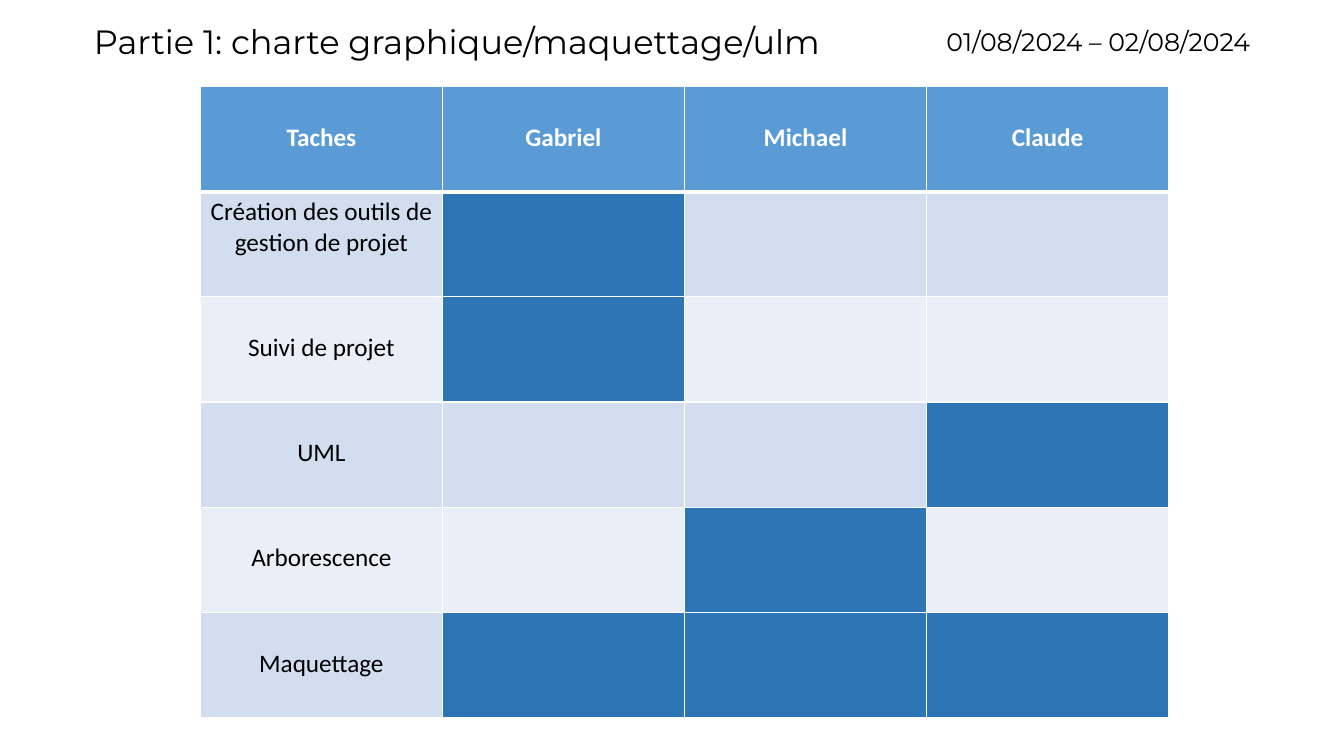
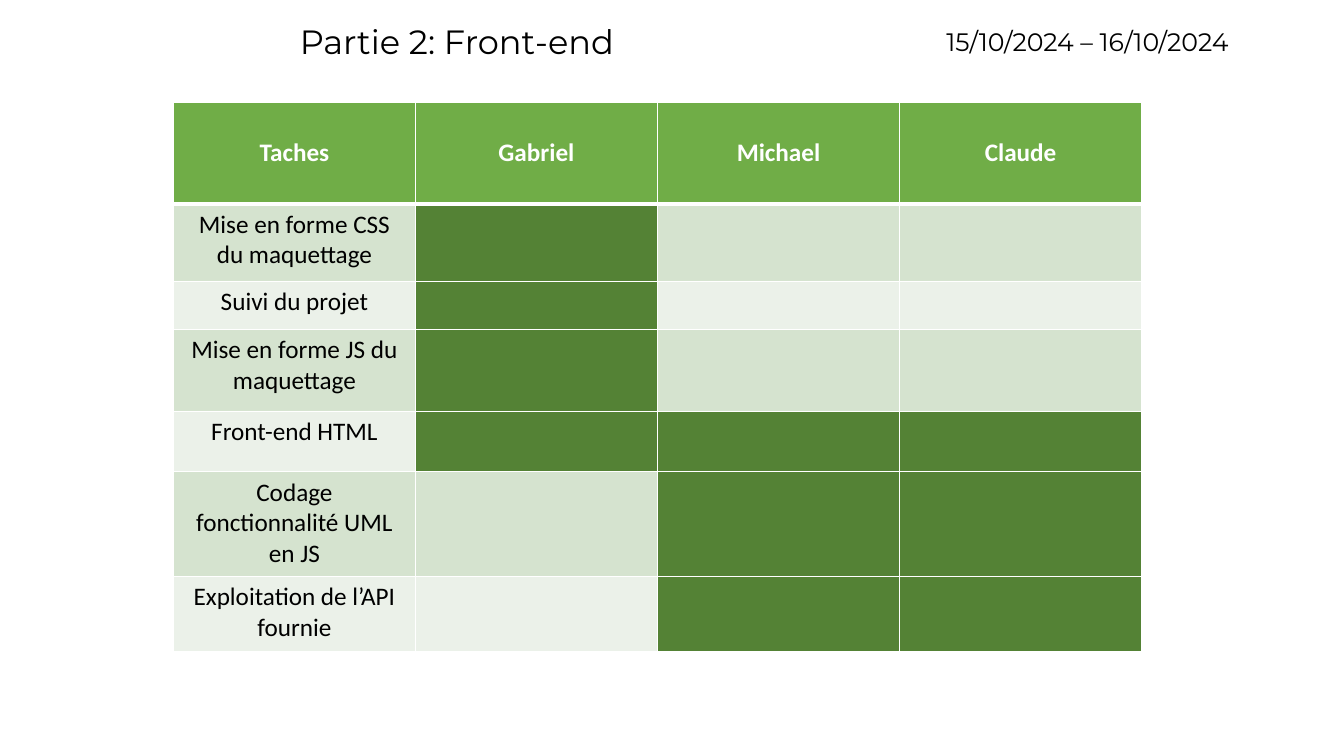
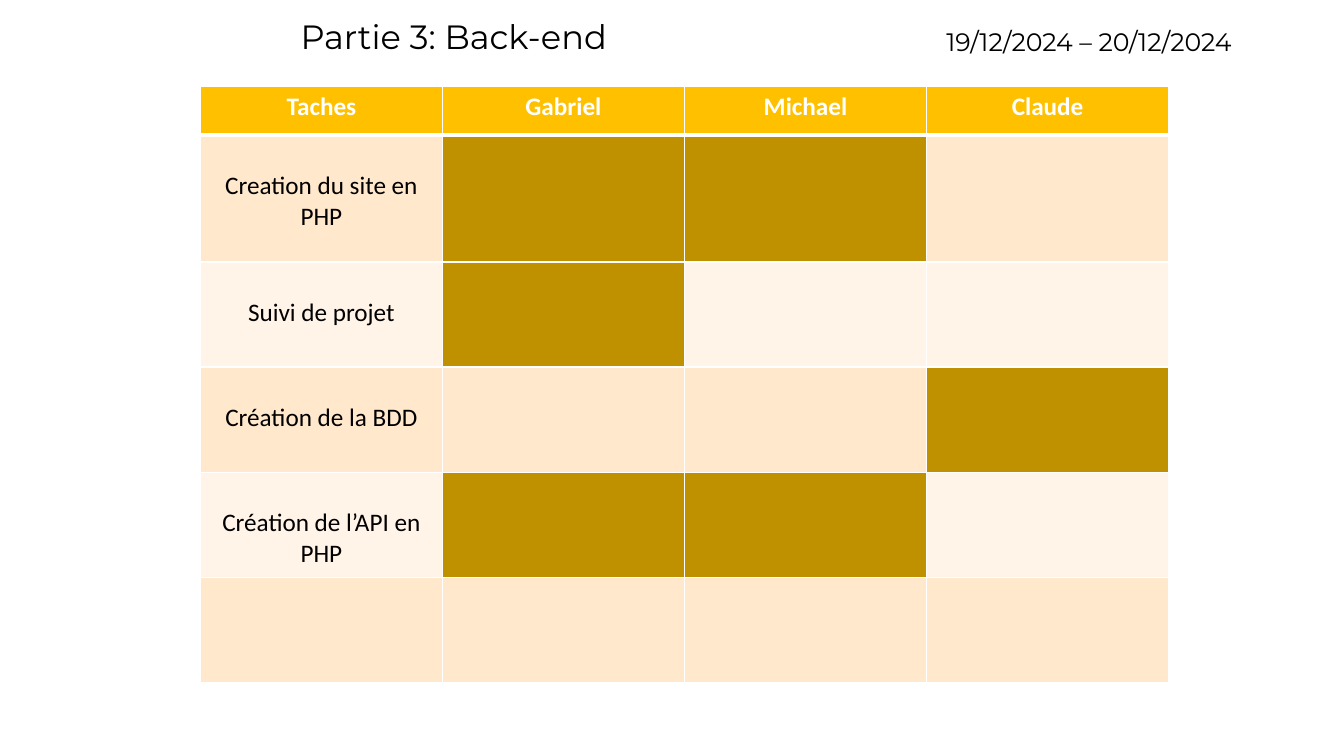
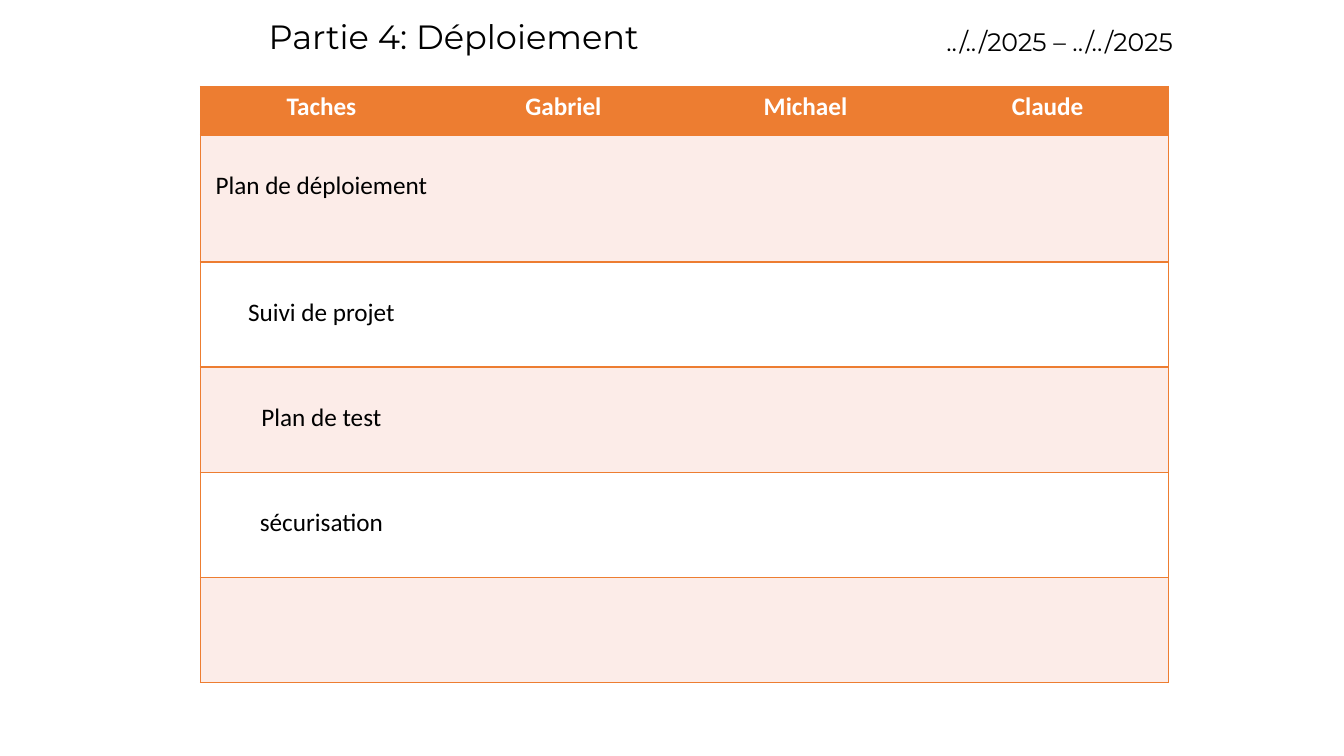
from dataclasses import dataclass

from lxml import etree
from pptx import Presentation
from pptx import util as u
from pptx.dml import color
from pptx.enum import text
from pptx.oxml import ns


@dataclass(frozen=True)
class Palette:
    header: str
    done: str
    bands: tuple
    grid: str = "FFFFFF"
    open_columns: bool = False
    header_rule: float = 3


@dataclass(frozen=True)
class Theme:
    heading_font: str = "Montserrat"
    table_font: str = "Calibri"
    title_size: int = 24
    body_size: int = 18
    ink: str = "000000"
    paper: str = "FFFFFF"
    blue: Palette = Palette("5B9BD5", "2E75B6", ("D2DEEF", "EAEFF7"))
    green: Palette = Palette("70AD47", "548235", ("D5E3CF", "EBF1E9"))
    gold: Palette = Palette("FFC000", "BF9000", ("FFE8CC", "FFF4E7"))
    orange: Palette = Palette("ED7D31", "ED7D31", ("FCECE8", "FFFFFF"), "ED7D31", True, 1)


PEOPLE = ("Gabriel", "Michael", "Claude")
GABRIEL, MICHAEL, CLAUDE = range(1, len(PEOPLE) + 1)
COLUMN_WIDTH = 6.1
ROW = 2.65
TOP_MARGIN = 0.13
LOWERED_MARGIN = 0.9


class Planner:
    """Holds the theme and the current slide of the planning deck."""

    def __init__(self, theme):
        self.theme = theme
        self.deck = Presentation()
        self.deck.slide_width, self.deck.slide_height = u.Cm(33.87), u.Cm(19.05)
        self.page = None

    def add_page(self):
        self.page = self.deck.slides.add_slide(self.deck.slide_layouts[5])

    def add_span(self, para, words, font, size, ink, bold=False):
        span = para.add_run()
        span.text = words
        span.font.name, span.font.size, span.font.bold = font, u.Pt(size), bold
        span.font.color.rgb = color.RGBColor.from_string(ink)

    def fill_box(self, box, words, size, align):
        frame = box.text_frame
        frame.word_wrap = True
        frame.auto_size = text.MSO_AUTO_SIZE.NONE
        frame.vertical_anchor = text.MSO_ANCHOR.TOP
        para = frame.paragraphs[0]
        para.alignment = align
        self.add_span(para, words, self.theme.heading_font, size, self.theme.ink)

    def title(self, words, left, top):
        box = self.page.shapes.title
        box.left, box.top, box.width, box.height = map(u.Cm, (left, top, 20.45, 1.28))
        self.fill_box(box, words, self.theme.title_size, text.PP_ALIGN.CENTER)

    def dates(self, words):
        box = self.page.shapes.add_textbox(*map(u.Cm, (23.6, 0.53, 9.63, 1.03)))
        self.fill_box(box, words, self.theme.body_size, text.PP_ALIGN.LEFT)

    def border(self, cell, side, ink, width):
        props = cell._tc.get_or_add_tcPr()
        line = etree.SubElement(props, ns.qn(f"a:ln{side}"), w=str(u.Pt(width)))
        if ink is None:
            etree.SubElement(line, ns.qn("a:noFill"))
        else:
            paint = etree.SubElement(line, ns.qn("a:solidFill"))
            etree.SubElement(paint, ns.qn("a:srgbClr"), val=ink)

    def cell(self, cell, row, column, palette, fill):
        hidden = palette.open_columns
        left = None if hidden and column > 0 else palette.grid
        right = None if hidden and column < len(PEOPLE) else palette.grid
        self.border(cell, "L", left, 1)
        self.border(cell, "R", right, 1)
        self.border(cell, "T", palette.grid, palette.header_rule if row == 1 else 1)
        self.border(cell, "B", palette.grid, palette.header_rule if row == 0 else 1)
        cell.fill.solid()
        cell.fill.fore_color.rgb = color.RGBColor.from_string(fill)

    def cell_text(self, cell, words, ink, bold, lowered):
        cell.margin_top = u.Cm(LOWERED_MARGIN if lowered else TOP_MARGIN)
        para = cell.text_frame.paragraphs[0]
        para.alignment = text.PP_ALIGN.CENTER
        self.add_span(para, words, self.theme.table_font, self.theme.body_size, ink, bold)

    def schedule(self, left, top, palette, header_height, header_lowered, tasks):
        heights = [header_height] + [task[0] for task in tasks]
        width = COLUMN_WIDTH * (len(PEOPLE) + 1)
        frame = self.page.shapes.add_table(
            len(heights), len(PEOPLE) + 1, *map(u.Cm, (left, top, width, sum(heights))))
        table = frame.table
        table.first_row = table.horz_banding = False
        for column in table.columns:
            column.width = u.Cm(COLUMN_WIDTH)
        for row, height in zip(table.rows, heights):
            row.height = u.Cm(height)
        for column, words in enumerate(("Taches",) + PEOPLE):
            cell = table.cell(0, column)
            self.cell(cell, 0, column, palette, palette.header)
            self.cell_text(cell, words, self.theme.paper, True, header_lowered)
        for row, (_, words, lowered, owners) in enumerate(tasks, 1):
            band = palette.bands[(row - 1) % 2]
            for column in range(len(PEOPLE) + 1):
                fill = palette.done if column in owners else band
                self.cell(table.cell(row, column), row, column, palette, fill)
            if words:
                self.cell_text(table.cell(row, 0), words, self.theme.ink, False, lowered)


def main():
    theme = Theme()
    everyone = (GABRIEL, MICHAEL, CLAUDE)
    high, low = (1.4, 0.41), (1.32, 0.28)
    parts = [
        ("Partie 1: charte graphique/maquettage/ulm ", high, "01/08/2024 – 02/08/2024",
         (5.05, 2.18, theme.blue, ROW, True, [
             (ROW, "Création des outils de gestion de projet", False, (GABRIEL,)),
             (ROW, "Suivi de projet", True, (GABRIEL,)),
             (ROW, "UML", True, (CLAUDE,)),
             (ROW, "Arborescence", True, (MICHAEL,)),
             (ROW, "Maquettage", True, everyone)])),
        ("Partie 2: Front-end ", high, "15/10/2024 – 16/10/2024",
         (4.37, 2.57, theme.green, 2.57, True, [
             (1.95, "Mise en forme CSS du maquettage", False, (GABRIEL,)),
             (1.22, "Suivi du projet", False, (GABRIEL,)),
             (2.06, "Mise en forme JS du maquettage", False, (GABRIEL,)),
             (1.52, "Front-end HTML", False, everyone),
             (2.64, "Codage fonctionnalité UML en JS", False, (MICHAEL, CLAUDE)),
             (1.9, "Exploitation de l’API fournie", False, (MICHAEL, CLAUDE))])),
        ("Partie 3: Back-end ", low, "19/12/2024 – 20/12/2024",
         (5.05, 2.18, theme.gold, 1.22, False, [
             (3.2, "Creation du site en PHP", True, (GABRIEL, MICHAEL)),
             (ROW, "Suivi de projet", True, (GABRIEL,)),
             (ROW, "Création de la BDD", True, (CLAUDE,)),
             (ROW, "Création de l’API en PHP", True, (GABRIEL, MICHAEL)),
             (ROW, "", False, ())])),
        ("Partie 4: Déploiement ", low, "../../2025 – ../../2025",
         (5.05, 2.18, theme.orange, 1.22, False, [
             (3.2, "Plan de déploiement", True, ()),
             (ROW, "Suivi de projet", True, ()),
             (ROW, "Plan de test", True, ()),
             (ROW, "sécurisation", True, ()),
             (ROW, "", False, ())])),
    ]
    planner = Planner(theme)
    for heading, place, dates, schedule in parts:
        planner.add_page()
        planner.title(heading, *place)
        planner.dates(dates)
        planner.schedule(*schedule)
    planner.deck.save("out.pptx")


if __name__ == "__main__":
    main()
